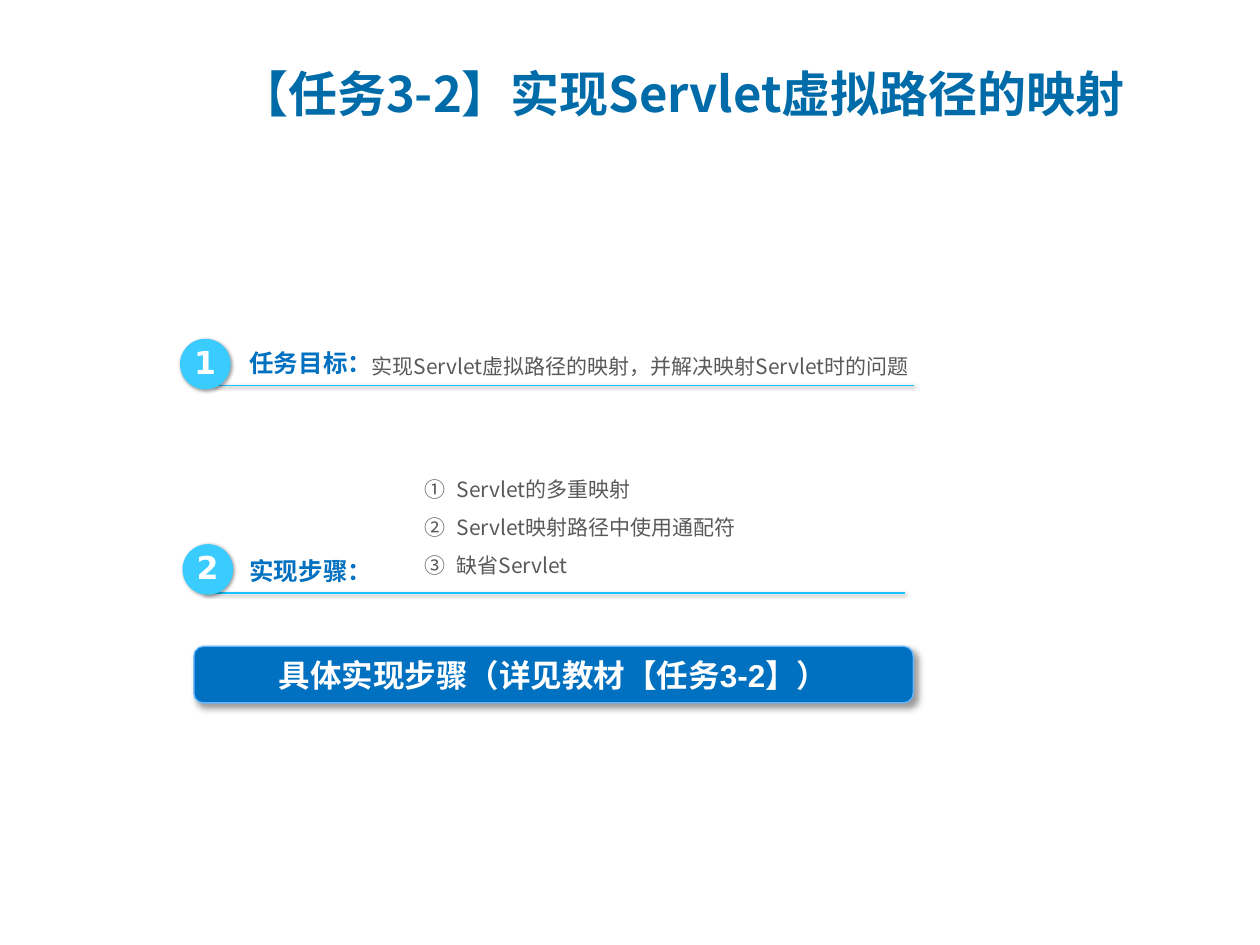
from pptx import Presentation
from pptx import util as u
from pptx.dml.color import RGBColor
from pptx.enum import shapes, text
from pptx.oxml import parse_xml
from pptx.oxml.ns import nsdecls, qn

BLUE = RGBColor(0x00, 0x70, 0xC0)
TITLE_BLUE = RGBColor(0x00, 0x6B, 0xA9)
SKY = RGBColor(0x3B, 0xCC, 0xFF)
RULE_BLUE = RGBColor(0x19, 0xC3, 0xFF)
EDGE_BLUE = RGBColor(0x61, 0xB6, 0xFF)
GREY = RGBColor(0x59, 0x59, 0x59)
WHITE = RGBColor(0xFF, 0xFF, 0xFF)
CJK = "Noto Sans CJK SC"


def write(shape, *lines, size, color, bold=False, font=CJK, align=text.PP_ALIGN.LEFT,
          anchor=text.MSO_ANCHOR.TOP, wrap=True, spacing=1.0, after=0, indent=0, numbering=None):
    """Fill a shape with one paragraph per line; indent is a hanging indent in cm."""
    frame = shape.text_frame
    frame.word_wrap = wrap
    frame.auto_size = text.MSO_AUTO_SIZE.NONE
    frame.vertical_anchor = anchor
    frame.text = "\n".join(lines)
    for paragraph in frame.paragraphs:
        paragraph.alignment = align
        paragraph.line_spacing = spacing
        paragraph.space_before = u.Pt(0)
        paragraph.space_after = u.Pt(after)
        properties = paragraph._p.get_or_add_pPr()
        properties.set("marL", str(u.Cm(indent)))
        properties.set("indent", str(-u.Cm(indent)))
        if numbering:
            properties.append(parse_xml(f'<a:buAutoNum {nsdecls("a")} type="{numbering}"/>'))
        run = paragraph.runs[0]
        run.font.size = u.Pt(size)
        run.font.bold = bold
        run.font.color.rgb = color
        run.font.name = font
        run.font._element.find(qn("a:latin")).addnext(
            parse_xml(f'<a:ea {nsdecls("a")} typeface="{CJK}"/>'))


def add_shadow(shape, blur, distance):
    shape._element.spPr.append(parse_xml(
        f'<a:effectLst {nsdecls("a")}><a:outerShdw blurRad="{u.Pt(blur)}" '
        f'dist="{u.Pt(distance)}" dir="2700000" algn="tl" rotWithShape="0">'
        '<a:srgbClr val="000000"><a:alpha val="40000"/></a:srgbClr>'
        '</a:outerShdw></a:effectLst>'))


presentation = Presentation()
presentation.slide_width = u.Cm(25.4)
presentation.slide_height = u.Cm(19.05)
slide = presentation.slides.add_slide(presentation.slide_layouts[1])

title = slide.shapes.title
title.left, title.top, title.width, title.height = u.Cm(4.57), u.Cm(1.09), u.Cm(20.83), u.Cm(1.55)
write(title, "【任务3-2】实现Servlet虚拟路径的映射", size=28, color=TITLE_BLUE, bold=True,
      anchor=text.MSO_ANCHOR.MIDDLE, indent=1.57)

# number, circle left and top, rule start, end and height, label, label top, label spacing
sections = [
    ("1", 3.63, 6.83, 4.27, 18.42, 7.77, "任务目标：", 6.71, 1.3),
    ("2", 3.68, 10.97, 4.09, 18.24, 11.96, "实现步骤：", 11.08, 1.0),
]
for number, left, top, start, end, height, label, label_top, spacing in sections:
    rule = slide.shapes.add_connector(shapes.MSO_CONNECTOR.STRAIGHT,
                                      u.Cm(start), u.Cm(height), u.Cm(end), u.Cm(height))
    rule.line.color.rgb = RULE_BLUE
    rule.line.width = u.Pt(1)
    add_shadow(rule, 2, 1)

    circle = slide.shapes.add_shape(shapes.MSO_SHAPE.OVAL,
                                    u.Cm(left), u.Cm(top), u.Cm(1.02), u.Cm(1.02))
    circle.fill.solid()
    circle.fill.fore_color.rgb = SKY
    circle.line.fill.background()
    add_shadow(circle, 2, 1)

    number_box = slide.shapes.add_textbox(u.Cm(left + 0.02), u.Cm(top - 0.04), u.Cm(0.97), u.Cm(1.02))
    write(number_box, number, size=18, color=WHITE, bold=True, font="DejaVu Sans",
          align=text.PP_ALIGN.CENTER, wrap=False)

    label_box = slide.shapes.add_textbox(u.Cm(4.78), u.Cm(label_top), u.Cm(3.2), u.Cm(1))
    write(label_box, label, size=14, color=BLUE, bold=True, spacing=spacing, after=3)

goal = slide.shapes.add_textbox(u.Cm(7.24), u.Cm(6.86), u.Cm(11.46), u.Cm(0.91))
write(goal, "实现Servlet虚拟路径的映射，并解决映射Servlet时的问题",
      size=12, color=GREY, spacing=1.3, after=3)

steps = slide.placeholders[1]
steps.left, steps.top, steps.width, steps.height = u.Cm(8.31), u.Cm(9.32), u.Cm(10.21), u.Cm(2.46)
write(steps, "Servlet的多重映射", "Servlet映射路径中使用通配符", "缺省Servlet",
      size=12, color=GREY, spacing=1.3, after=3, indent=0.64, numbering="circleNumDbPlain")

banner = slide.shapes.add_shape(shapes.MSO_SHAPE.ROUNDED_RECTANGLE,
                                u.Cm(3.91), u.Cm(13.03), u.Cm(14.5), u.Cm(1.14))
banner.fill.solid()
banner.fill.fore_color.rgb = BLUE
banner.line.color.rgb = EDGE_BLUE
banner.line.width = u.Pt(0.75)
add_shadow(banner, 4, 3)
write(banner, "具体实现步骤（详见教材【任务3-2】）", size=18, color=WHITE, bold=True, font="Arial",
      align=text.PP_ALIGN.CENTER, anchor=text.MSO_ANCHOR.MIDDLE)

presentation.save("out.pptx")
